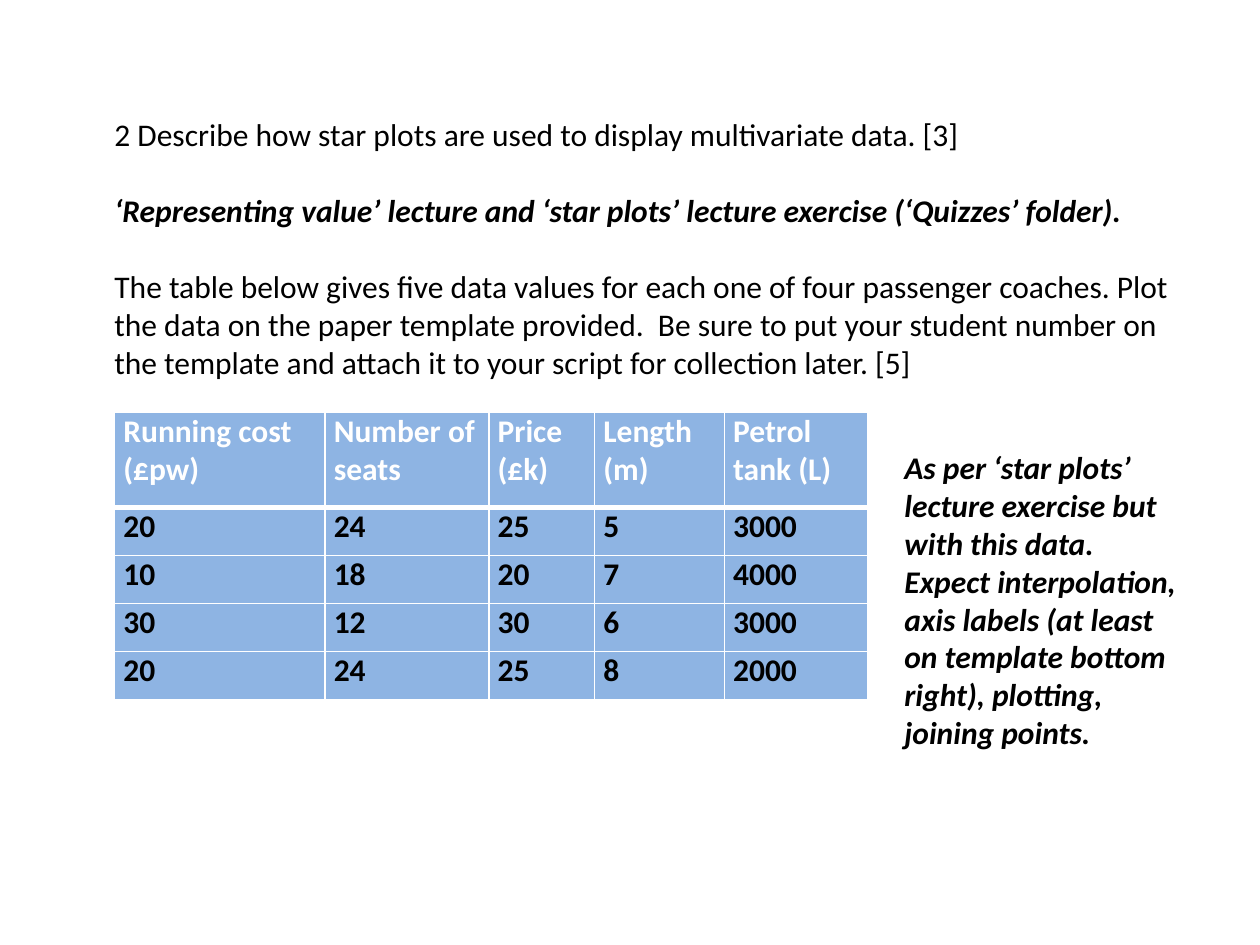
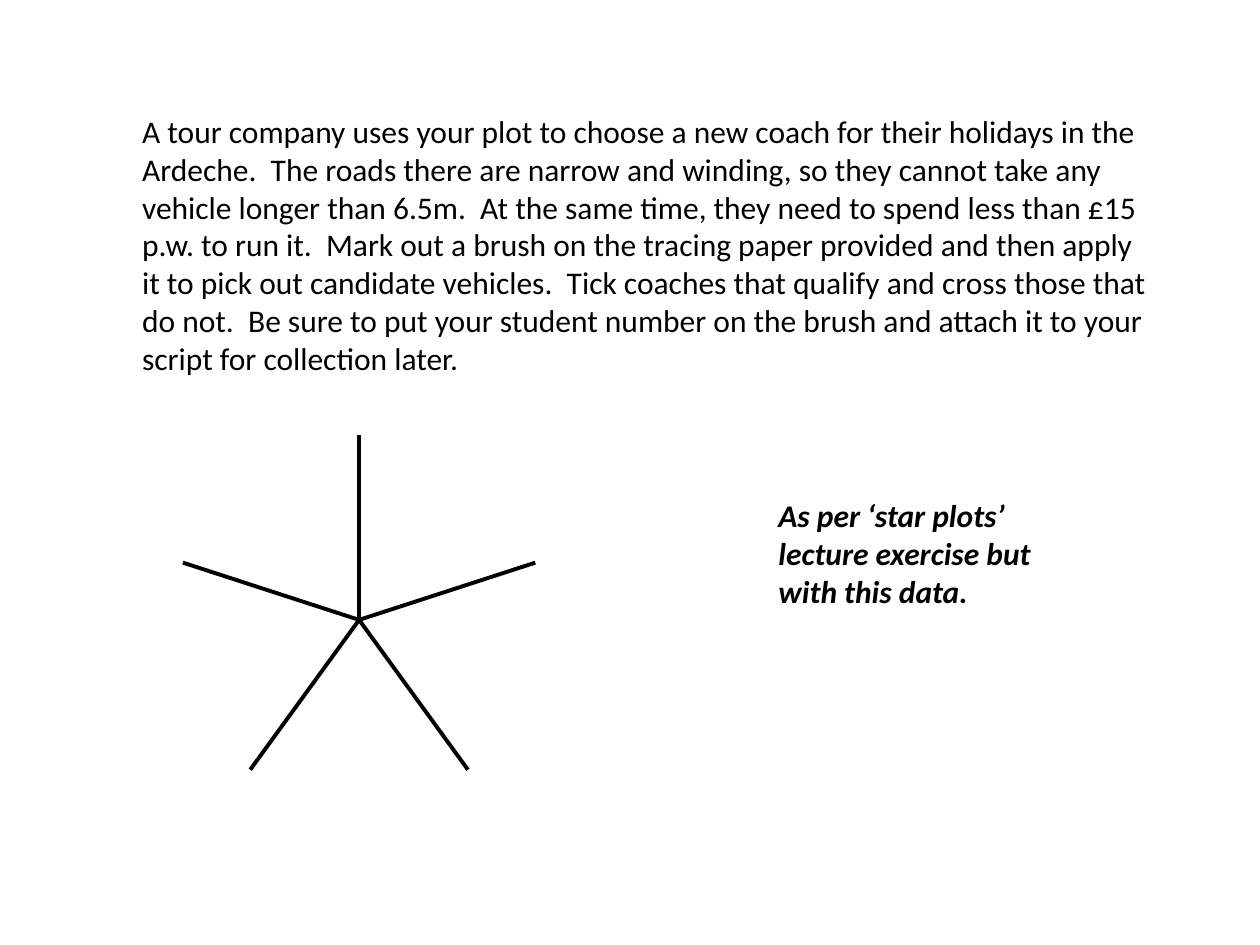
"""Two exam-feedback slides about star plots."""
import math

from lxml import etree
from pptx import Presentation
from pptx import util as u
from pptx.dml.color import RGBColor
from pptx.enum import shapes, text
from pptx.oxml import ns

FONT, SIZE = "Calibri", 18
BLACK, WHITE, BLUE = "000000", "FFFFFF", "8EB4E3"
LINE_GAP = 22  # points, one line of text

COLUMN_WIDTHS = [1.67, 1.3, 0.84, 1.03, 1.14]
HEADER_HEIGHT, ROW_HEIGHT = 0.76, 0.38
COACHES = [
    ["Running cost (£pw)", "Number of seats", "Price (£k)", "Length (m)",
     "Petrol tank (L)"],
    ["20", "24", "25", "5", "3000"],
    ["10", "18", "20", "7", "4000"],
    ["30", "12", "30", "6", "3000"],
    ["20", "24", "25", "8", "2000"],
]


def rgb(value):
    """Turn a hex string into a colour."""
    return RGBColor.from_string(value)


def style_runs(p, color=BLACK, bold=False, italic=False):
    """Give every run of a paragraph the shared font."""
    for r in p.runs:
        r.font.name, r.font.size = FONT, u.Pt(SIZE)
        r.font.bold, r.font.italic = bold, italic
        r.font.color.rgb = rgb(color)


def add_text(slide, box, paragraphs):
    """Place paragraphs, given as (wording, is_comment), one line apart."""
    sp = slide.shapes.add_textbox(*map(u.Inches, box))
    tf = sp.text_frame
    tf.word_wrap = True
    for i, (wording, is_comment) in enumerate(paragraphs):
        p = tf.add_paragraph() if i else tf.paragraphs[0]
        p.text = wording
        p.space_before = u.Pt(LINE_GAP if i else 0)
        style_runs(p, bold=is_comment, italic=is_comment)


def set_borders(cell, widths):
    """Draw white cell borders; widths are points by side L, R, T, B."""
    tc_pr = cell._tc.get_or_add_tcPr()
    for side, width in zip("LRTB", widths):
        ln = etree.SubElement(tc_pr, ns.qn("a:ln" + side), w=str(u.Pt(width)))
        fill = etree.SubElement(ln, ns.qn("a:solidFill"))
        etree.SubElement(fill, ns.qn("a:srgbClr"), val=WHITE)


def add_coach_table(slide, left, top):
    """Place the table of coach data with its top left corner as given."""
    heights = [HEADER_HEIGHT] + [ROW_HEIGHT] * (len(COACHES) - 1)
    box = (left, top, sum(COLUMN_WIDTHS), sum(heights))
    table = slide.shapes.add_table(
        len(COACHES), len(COLUMN_WIDTHS), *map(u.Inches, box)).table
    for column, width in zip(table.columns, COLUMN_WIDTHS):
        column.width = u.Inches(width)
    for i, (row, height) in enumerate(zip(table.rows, heights)):
        row.height = u.Inches(height)
        for cell, wording in zip(row.cells, COACHES[i]):
            cell.margin_left = cell.margin_right = u.Inches(0.07)
            cell.margin_top = cell.margin_bottom = 0
            set_borders(cell, (1, 1, 3 if i == 1 else 1, 3 if i == 0 else 1))
            cell.fill.solid()
            cell.fill.fore_color.rgb = rgb(BLUE)
            p = cell.text_frame.paragraphs[0]
            p.text = wording
            if i:
                p.alignment = text.PP_ALIGN.JUSTIFY
            style_runs(p, BLACK if i else WHITE, bold=True)


def add_star_axes(slide, x, y, radius, count=5):
    """Draw equally spaced axes from the centre (x, y), the first upwards."""
    group = slide.shapes.add_group_shape()
    for i in range(count):
        angle = 2 * math.pi * i / count
        tip = (x + radius * math.sin(angle), y - radius * math.cos(angle))
        axis = group.shapes.add_connector(
            shapes.MSO_CONNECTOR.STRAIGHT, *map(u.Inches, (x, y, *tip)))
        axis.line.color.rgb = rgb(BLACK)
        axis.line.width = u.Pt(2.25)
        etree.SubElement(axis._element.spPr, ns.qn("a:effectLst"))


def build_table_slide(slide):
    """Question on star plots, with the data to plot."""
    add_text(slide, (0.81, 0.86, 8.7, 2.52), [
        ("2 Describe how star plots are used to display multivariate data. "
         "[3]", False),
        ("‘Representing value’ lecture and ‘star plots’ lecture exercise "
         "(‘Quizzes’ folder).", True),
        ("The table below gives five data values for each one of four "
         "passenger coaches. Plot the data on the paper template provided.  "
         "Be sure to put your student number on the template and attach it "
         "to your script for collection later. [5]", False),
    ])
    add_coach_table(slide, 0.91, 3.27)
    add_text(slide, (7.08, 3.51, 2.43, 2.83), [
        ("As per ‘star plots’ lecture exercise but with this data.  Expect "
         "interpolation, axis labels (at least on template bottom right), "
         "plotting, joining points.", True),
    ])


def build_brush_slide(slide):
    """Question on brushing, with empty star plot axes."""
    add_text(slide, (1.03, 0.84, 8.26, 2.22), [
        ("A tour company uses your plot to choose a new coach for their "
         "holidays in the Ardeche.  The roads there are narrow and winding, "
         "so they cannot take any vehicle longer than 6.5m.  At the same "
         "time, they need to spend less than £15 p.w. to run it.  Mark out a "
         "brush on the tracing paper provided and then apply it to pick out "
         "candidate vehicles.  Tick coaches that qualify and cross those "
         "that do not.  Be sure to put your student number on the brush and "
         "attach it to your script for collection later.", False),
    ])
    add_star_axes(slide, 2.85, 4.92, 1.47)
    add_text(slide, (6.08, 3.89, 2.43, 1.01), [
        ("As per ‘star plots’ lecture exercise but with this data.", True),
    ])


prs = Presentation()
prs.slide_width, prs.slide_height = u.Inches(10), u.Inches(7.5)
for build in (build_table_slide, build_brush_slide):
    build(prs.slides.add_slide(prs.slide_layouts[6]))
prs.save("out.pptx")
